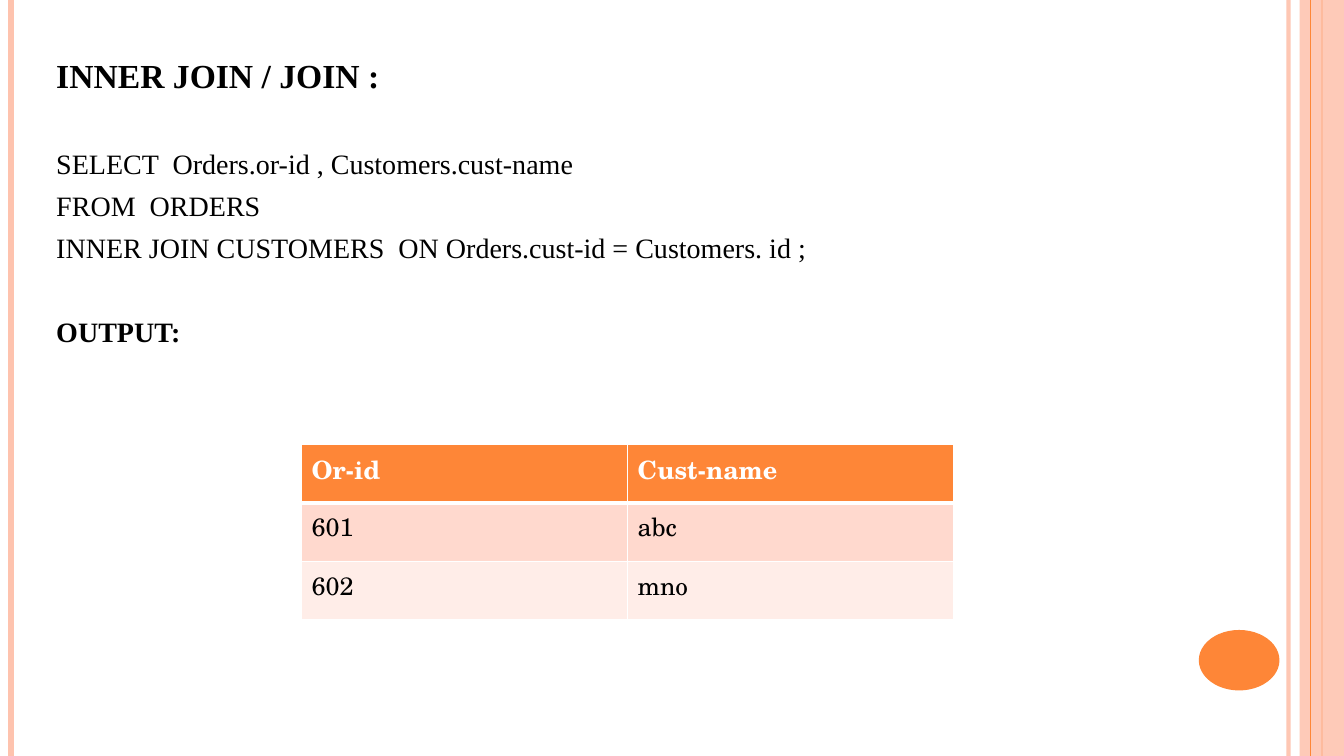
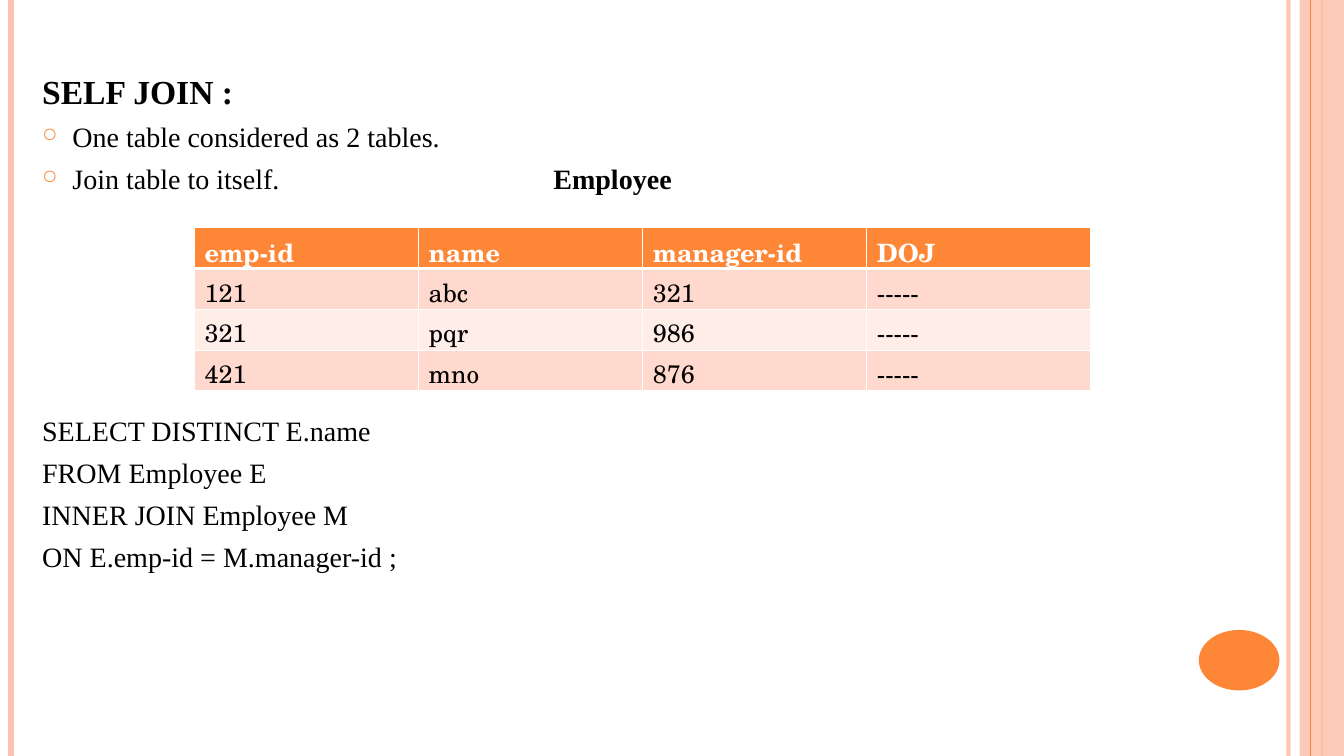
from dataclasses import dataclass

from lxml import etree
from pptx import Presentation
from pptx import slide as sl
from pptx import util as u
from pptx.dml import color
from pptx.enum import shapes
from pptx.oxml import ns
from pptx.table import _Cell as Cell

ORANGE = color.RGBColor(0xFE, 0x86, 0x37)
PEACH = color.RGBColor(0xFE, 0xC3, 0xAE)
BAND_DARK = color.RGBColor(0xFF, 0xD9, 0xCE)
BAND_LIGHT = color.RGBColor(0xFF, 0xED, 0xE8)
BLACK = color.RGBColor(0, 0, 0)
WHITE = color.RGBColor(0xFF, 0xFF, 0xFF)

BODY_FONT = "Times New Roman"
TABLE_FONT = "TeX Gyre Schola"
TITLE_SIZE = 24
BODY_SIZE = 20
TABLE_SIZE = 18
LEADING = 1.2
GAP = 6
LINE_PITCH = BODY_SIZE * LEADING + GAP
WIDTH = 13.33
HEIGHT = 7.5


@dataclass(frozen=True)
class Box:
    left: float
    top: float
    width: float
    height: float

    def lengths(self) -> tuple[u.Length, ...]:
        return tuple(u.Inches(n) for n in (self.left, self.top, self.width, self.height))


@dataclass(frozen=True)
class Stripe:
    x: float
    weight: float
    color: color.RGBColor
    opacity: int = 100


@dataclass(frozen=True)
class Line:
    text: str
    size: int = BODY_SIZE
    bold: bool = False
    bullet: bool = False
    skipped_lines: int = 0


STRIPES_BELOW_BAND = (
    Stripe(12.78, 3, PEACH, 93),
    Stripe(0.11, 4.5, PEACH),
    Stripe(13.11, 1.5, ORANGE),
)
STRIPE_ABOVE_BAND = Stripe(13, 0.75, ORANGE)
BAND = Box(12.89, 0, 0.44, HEIGHT)
BADGE = Box(11.89, 6.25, 0.8, 0.6)


def add_element(parent: etree._Element, tag: str, **attributes: str) -> etree._Element:
    return etree.SubElement(parent, ns.qn(tag), attributes)


def set_opacity(element: etree._Element, percent: int) -> None:
    for rgb in element.iter(ns.qn("a:srgbClr")):
        add_element(rgb, "a:alpha", val=str(percent * 1000))


def add_stripe(slide: sl.Slide, stripe: Stripe) -> None:
    x = u.Inches(stripe.x)
    connector = slide.shapes.add_connector(
        shapes.MSO_CONNECTOR.STRAIGHT, x, 0, x, u.Inches(HEIGHT)
    )
    connector.line.color.rgb = stripe.color
    connector.line.width = u.Pt(stripe.weight)
    if stripe.opacity < 100:
        set_opacity(connector.element, stripe.opacity)
    add_element(connector.element.spPr, "a:effectLst")


def add_filled(
    slide: sl.Slide, kind: shapes.MSO_SHAPE, box: Box, fill: color.RGBColor, opacity: int = 100
) -> None:
    shape = slide.shapes.add_shape(kind, *box.lengths())
    shape.fill.solid()
    shape.fill.fore_color.rgb = fill
    if opacity < 100:
        set_opacity(shape.element, opacity)
    shape.line.fill.background()
    shape.shadow.inherit = False


def add_frame(slide: sl.Slide) -> None:
    for stripe in STRIPES_BELOW_BAND:
        add_stripe(slide, stripe)
    add_filled(slide, shapes.MSO_SHAPE.RECTANGLE, BAND, PEACH, 87)
    add_stripe(slide, STRIPE_ABOVE_BAND)
    add_filled(slide, shapes.MSO_SHAPE.OVAL, BADGE, ORANGE)


def add_lines(slide: sl.Slide, box: Box, lines: list[Line]) -> None:
    frame = slide.shapes.add_textbox(*box.lengths()).text_frame
    frame.word_wrap = True
    for index, line in enumerate(lines):
        paragraph = frame.add_paragraph() if index else frame.paragraphs[0]
        paragraph.text = line.text
        paragraph.line_spacing = u.Pt(line.size * LEADING)
        if index:
            paragraph.space_before = u.Pt(GAP + line.skipped_lines * LINE_PITCH)
        if line.bullet:
            properties = paragraph._p.get_or_add_pPr()
            indent = u.Inches(0.3)
            properties.set("marL", str(indent))
            properties.set("indent", str(-indent))
            bullet_color = add_element(properties, "a:buClr")
            add_element(bullet_color, "a:srgbClr", val=str(ORANGE))
            add_element(properties, "a:buSzPct", val="70000")
            add_element(properties, "a:buChar", char="○")
        paragraph.font.name = BODY_FONT
        paragraph.font.size = u.Pt(line.size)
        paragraph.font.bold = line.bold
        paragraph.font.color.rgb = BLACK


def set_borders(cell: Cell, top: int, bottom: int) -> None:
    properties = cell._tc.get_or_add_tcPr()
    widths = {"a:lnL": 1, "a:lnR": 1, "a:lnT": top, "a:lnB": bottom}
    for position, (tag, width) in enumerate(widths.items()):
        border = add_element(properties, tag, w=str(u.Pt(width)))
        add_element(add_element(border, "a:solidFill"), "a:srgbClr", val=str(WHITE))
        properties.insert(position, border)


def add_grid(slide: sl.Slide, box: Box, rows: list[list[str]]) -> None:
    table = slide.shapes.add_table(len(rows), len(rows[0]), *box.lengths()).table
    for row_index, row in enumerate(rows):
        header = row_index == 0
        band = BAND_DARK if row_index % 2 else BAND_LIGHT
        for column_index, value in enumerate(row):
            cell = table.cell(row_index, column_index)
            cell.text = value
            cell.fill.solid()
            cell.fill.fore_color.rgb = ORANGE if header else band
            set_borders(cell, top=3 if row_index == 1 else 1, bottom=3 if header else 1)
            font = cell.text_frame.paragraphs[0].font
            font.name = TABLE_FONT
            font.size = u.Pt(TABLE_SIZE)
            font.bold = header
            font.color.rgb = WHITE if header else BLACK


def build_inner_join(slide: sl.Slide) -> None:
    add_lines(slide, Box(0.46, 0.5, 12.46, 6.68), [
        Line("INNER JOIN / JOIN :", TITLE_SIZE, bold=True),
        Line("SELECT  Orders.or-id , Customers.cust-name", skipped_lines=1),
        Line("FROM  ORDERS"),
        Line("INNER JOIN CUSTOMERS  ON Orders.cust-id = Customers. id ;"),
        Line("OUTPUT:", bold=True, skipped_lines=1),
    ])
    add_grid(slide, Box(2.99, 4.41, 6.47, 1.74), [
        ["Or-id", "Cust-name"],
        ["601", "abc"],
        ["602", "mno"],
    ])


def build_self_join(slide: sl.Slide) -> None:
    add_lines(slide, Box(0.32, 0.65, 12.1, 6.44), [
        Line("SELF JOIN :", TITLE_SIZE, bold=True),
        Line("One table considered as 2 tables.", bullet=True),
        Line("Join table to itself.", bullet=True),
        Line("SELECT DISTINCT E.name", skipped_lines=5),
        Line("FROM Employee E"),
        Line("INNER JOIN Employee M"),
        Line("ON E.emp-id = M.manager-id ;"),
    ])
    add_lines(slide, Box(5.39, 1.55, 2, 0.45), [Line("Employee", bold=True)])
    add_grid(slide, Box(1.93, 2.26, 8.89, 1.62), [
        ["emp-id", "name", "manager-id", "DOJ"],
        ["121", "abc", "321", "-----"],
        ["321", "pqr", "986", "-----"],
        ["421", "mno", "876", "-----"],
    ])


def main() -> None:
    presentation = Presentation()
    presentation.slide_width = u.Inches(WIDTH)
    presentation.slide_height = u.Inches(HEIGHT)
    blank = presentation.slide_layouts[6]
    for build in (build_inner_join, build_self_join):
        slide = presentation.slides.add_slide(blank)
        add_frame(slide)
        build(slide)
    presentation.save("out.pptx")


if __name__ == "__main__":
    main()
